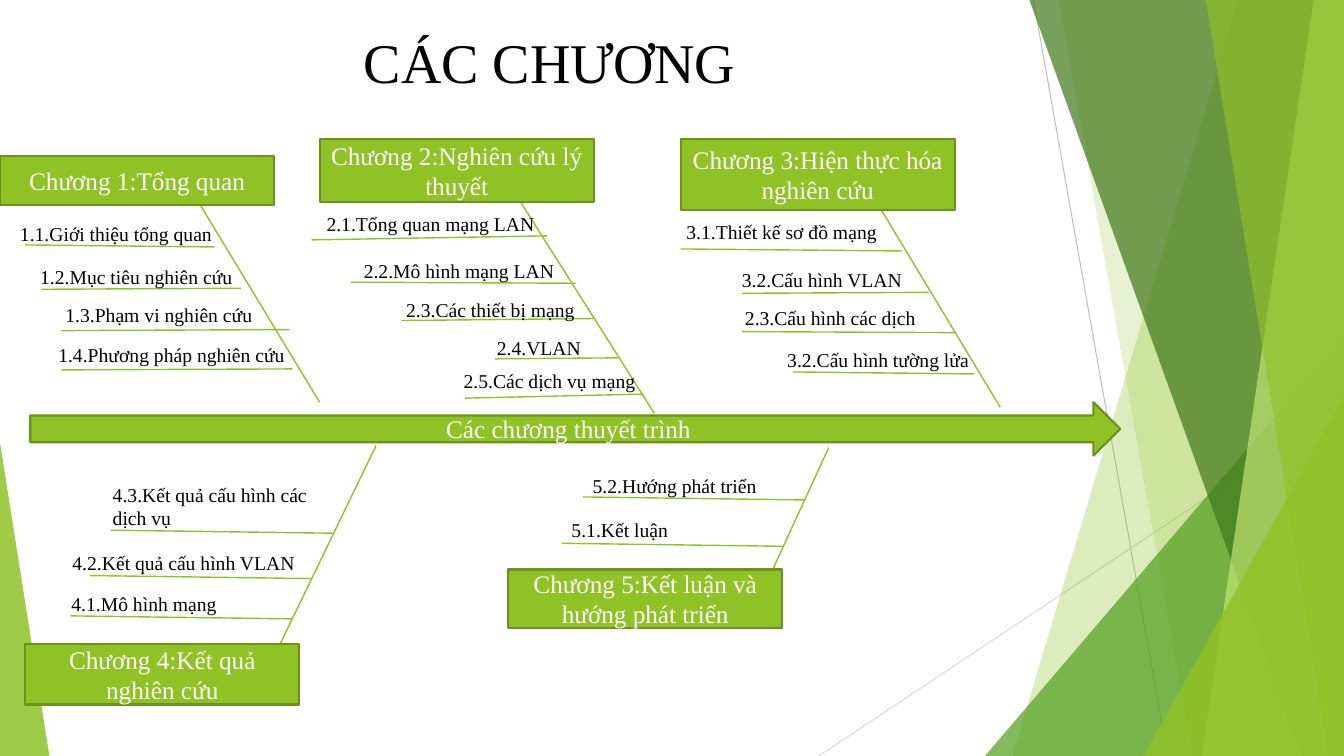
from typing import NamedTuple

from lxml.etree import SubElement
from pptx import Presentation
from pptx.dml.color import RGBColor
from pptx.enum.shapes import MSO_CONNECTOR as Connector, MSO_SHAPE as Preset
from pptx.enum.text import MSO_ANCHOR as Anchor, MSO_AUTO_SIZE as AutoSize, PP_ALIGN as Align
from pptx.oxml.ns import qn
from pptx.util import Cm, Pt

GREEN = RGBColor(0x90, 0xC2, 0x26)
EDGE_GREEN = RGBColor(0x6B, 0x90, 0x1C)
MID_GREEN = RGBColor(0x54, 0xA0, 0x21)
DARK_GREEN = RGBColor(0x3F, 0x78, 0x19)
PALE_GREEN = RGBColor(0xC0, 0xE4, 0x74)
GREY = RGBColor(0xBF, 0xBF, 0xBF)
LIGHT_GREY = RGBColor(0xD9, 0xD9, 0xD9)
BLACK = RGBColor(0, 0, 0)
WHITE = RGBColor(0xFF, 0xFF, 0xFF)
FONT = "Times New Roman"
WIDTH, HEIGHT = 13.33, 7.5
BOX_WIDTH = 2.72


class Segment(NamedTuple):
    x1: float
    y1: float
    x2: float
    y2: float


class Area(NamedTuple):
    left: float
    top: float
    width: float
    height: float = 0.34


class Band(NamedTuple):
    top_left: float
    bottom_left: float
    color: RGBColor
    opacity: int


class Wedge(NamedTuple):
    area: Area
    apex: float
    color: RGBColor
    opacity: int


class Topic(NamedTuple):
    text: str
    area: Area
    rule: Segment


class Chapter(NamedTuple):
    title: str
    area: Area
    spine: Segment
    topics: list[Topic]


BACKDROP = [
    Band(12.28, 10.04, GREEN, 30),
    Band(10.5, 11.83, GREEN, 20),
    Wedge(Area(9.77, 3.33, 3.56, 4.17), 1, MID_GREEN, 72),
    Band(10.21, 12.91, DARK_GREEN, 70),
    Band(13.03, 11.92, PALE_GREEN, 70),
    Band(11.96, 13.18, GREEN, 65),
    Wedge(Area(11.34, 3.93, 1.99, 3.57), 1, GREEN, 80),
    Wedge(Area(0, 4.39, 0.49, 3.11), 0, GREEN, 85),
]

CHAPTERS = [
    Chapter("Chương 1:Tổng quan", Area(0, 1.55, BOX_WIDTH, 0.48), Segment(1.99, 2.04, 3.17, 3.99), [
        Topic("1.1.Giới thiệu tổng quan", Area(0.1, 2.15, 2.46), Segment(0.25, 2.43, 2.13, 2.45)),
        Topic("1.2.Mục tiêu nghiên cứu", Area(0.3, 2.58, 2.46), Segment(0.41, 2.87, 2.39, 2.86)),
        Topic("1.3.Phạm vi nghiên cứu", Area(0.55, 2.96, 2.59), Segment(0.61, 3.28, 2.87, 3.27)),
        Topic("1.4.Phương pháp nghiên cứu", Area(0.48, 3.35, 2.8), Segment(0.61, 3.67, 2.9, 3.66)),
    ]),
    Chapter("Chương 2:Nghiên cứu lý thuyết", Area(3.17, 1.38, BOX_WIDTH, 0.62), Segment(5.16, 2, 6.49, 4.1), [
        Topic("2.1.Tổng quan mạng LAN", Area(3.14, 2.05, 2.45), Segment(3.09, 2.38, 5.43, 2.34)),
        Topic("2.2.Mô hình mạng LAN", Area(3.51, 2.52, 2.46), Segment(3.48, 2.8, 5.71, 2.81)),
        Topic("2.3.Các thiết bị mạng", Area(3.93, 2.91, 2.04), Segment(3.98, 3.18, 5.89, 3.16)),
        Topic("2.4.VLAN", Area(4.83, 3.28, 1.17), Segment(4.91, 3.56, 6.13, 3.55)),
        Topic("2.5.Các dịch vụ mạng", Area(4.5, 3.61, 1.99), Segment(4.61, 3.95, 6.38, 3.91)),
    ]),
    Chapter("Chương 3:Hiện thực hóa nghiên cứu", Area(6.75, 1.38, BOX_WIDTH, 0.7), Segment(8.74, 2.08, 9.92, 4.04), [
        Topic("3.1.Thiết kế sơ đồ mạng", Area(6.71, 2.13, 2.46), Segment(6.75, 2.47, 8.95, 2.49)),
        Topic("3.2.Cấu hình VLAN", Area(7.26, 2.61, 2.46), Segment(7.36, 2.91, 9.21, 2.9)),
        Topic("2.3.Cấu hình các dịch", Area(7.29, 2.99, 2.45), Segment(7.36, 3.29, 9.48, 3.3)),
        Topic("3.2.Cấu hình tường lửa", Area(7.71, 3.4, 2.46), Segment(7.87, 3.69, 9.66, 3.71)),
    ]),
    Chapter("Chương 4:Kết quả nghiên cứu", Area(0.25, 6.39, BOX_WIDTH, 0.6), Segment(3.73, 4.42, 2.72, 6.51), [
        Topic("4.1.Mô hình mạng", Area(0.61, 5.82, 2.46), Segment(0.7, 6.11, 2.9, 6.14)),
        Topic("4.2.Kết quả cấu hình VLAN", Area(0.62, 5.42, 2.61), Segment(0.89, 5.71, 3.09, 5.74)),
        Topic("4.3.Kết quả cấu hình các dịch vụ", Area(1.02, 4.74, 2.46, 0.57), Segment(1.1, 5.26, 3.3, 5.29)),
    ]),
    Chapter("Chương 5:Kết luận và hướng phát triển", Area(5.04, 5.65, BOX_WIDTH, 0.58), Segment(8.22, 4.44, 7.65, 5.68), [
        Topic("5.1.Kết luận", Area(5.57, 5.09, 2.46), Segment(5.57, 5.39, 7.77, 5.42)),
        Topic("5.2.Hướng phát triển", Area(5.78, 4.65, 2.46), Segment(5.78, 4.93, 7.98, 4.96)),
    ]),
]


def inches(value: float) -> Cm:
    return Cm(value * 2.54)


def write(shape, text: str, *, size: float, color: RGBColor, align=Align.LEFT, anchor=Anchor.TOP) -> None:
    frame = shape.text_frame
    frame.word_wrap = True
    frame.auto_size = AutoSize.NONE
    frame.vertical_anchor = anchor
    para = frame.paragraphs[0]
    para.alignment = align
    span = para.add_run()
    span.text = text
    span.font.name = FONT
    span.font.size = Pt(size)
    span.font.color.rgb = color


def draw_line(page, segment: Segment, color: RGBColor = GREEN, weight: float = 1) -> None:
    line = page.shapes.add_connector(Connector.STRAIGHT, *map(inches, segment))
    line.line.color.rgb = color
    line.line.width = Pt(weight)
    SubElement(line.element.spPr, qn("a:effectLst"))


def draw_label(page, preset: Preset, area: Area, text: str) -> None:
    box = page.shapes.add_shape(preset, *map(inches, area))
    box.shadow.inherit = False
    box.fill.solid()
    box.fill.fore_color.rgb = GREEN
    box.line.color.rgb = EDGE_GREEN
    box.line.width = Pt(1.5)
    write(box, text, size=18, color=WHITE, align=Align.CENTER, anchor=Anchor.MIDDLE)


def draw_backdrop_piece(page, piece: Band | Wedge) -> None:
    if isinstance(piece, Band):
        corners = [(piece.top_left, 0), (WIDTH, 0), (WIDTH, HEIGHT), (piece.bottom_left, HEIGHT)]
        points = [(inches(x), inches(y)) for x, y in corners]
        outline = page.shapes.build_freeform(*points[0])
        outline.add_line_segments(points[1:], close=True)
        shape = outline.convert_to_shape()
    else:
        shape = page.shapes.add_shape(Preset.ISOSCELES_TRIANGLE, *map(inches, piece.area))
        shape.adjustments[0] = piece.apex
    shape.shadow.inherit = False
    shape.line.fill.background()
    shape.fill.solid()
    shape.fill.fore_color.rgb = piece.color
    color_node = shape.element.spPr.find(qn("a:solidFill"))[0]
    SubElement(color_node, qn("a:alpha"), val=str(piece.opacity * 1000))


def draw_chapter(page, chapter: Chapter) -> None:
    draw_line(page, chapter.spine)
    draw_label(page, Preset.RECTANGLE, chapter.area, chapter.title)
    for topic in chapter.topics:
        draw_line(page, topic.rule)
        box = page.shapes.add_textbox(*map(inches, topic.area))
        write(box, topic.text, size=14, color=BLACK)


def main() -> None:
    deck = Presentation()
    deck.slide_width, deck.slide_height = inches(WIDTH), inches(HEIGHT)
    page = deck.slides.add_slide(deck.slide_layouts.get_by_name("Title Only"))

    draw_line(page, Segment(10.25, 0, 11.58, HEIGHT), GREY, 0.75)
    draw_line(page, Segment(WIDTH, 4.03, 8.12, HEIGHT), LIGHT_GREY, 0.75)
    for piece in BACKDROP:
        draw_backdrop_piece(page, piece)

    title = page.shapes.title
    title.left, title.top, title.width, title.height = map(inches, Area(3.51, 0.22, 7.76, 0.77))
    write(title, "CÁC CHƯƠNG", size=40, color=BLACK)

    draw_label(page, Preset.RIGHT_ARROW, Area(0.3, 3.99, 10.81, 0.53), "Các chương thuyết trình")
    for chapter in CHAPTERS:
        draw_chapter(page, chapter)
    deck.save("out.pptx")


if __name__ == "__main__":
    main()
